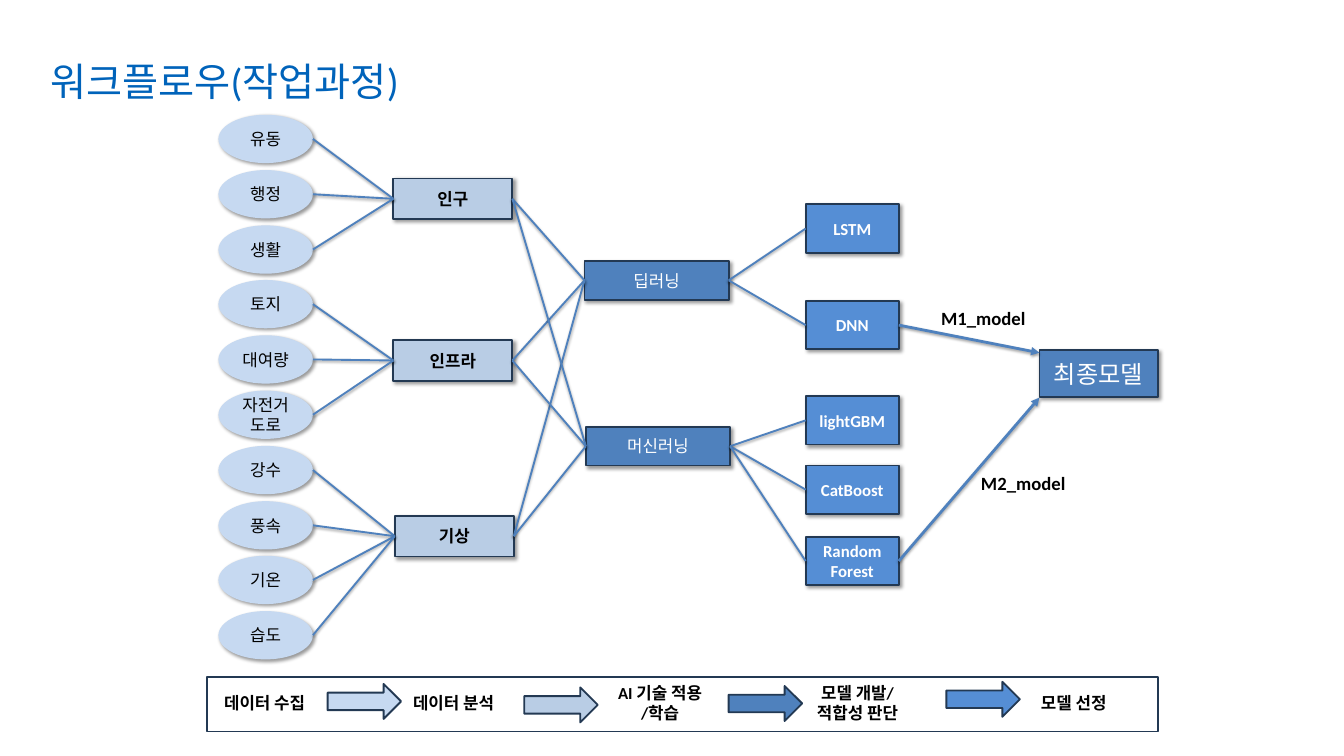
import pptx
import pptx.dml.color
import pptx.enum.dml
import pptx.enum.shapes
import pptx.enum.text
import pptx.oxml.ns
import pptx.util
from lxml import etree

RGB = pptx.dml.color.RGBColor
SHAPE = pptx.enum.shapes.MSO_SHAPE
ALIGN = pptx.enum.text.PP_ALIGN
ANCHOR = pptx.enum.text.MSO_ANCHOR
qn = pptx.oxml.ns.qn

PX = 9525  # EMU in one px; the slide is 1920 by 1080 px
LEFT, RIGHT = 1, 3  # connection sites of a rectangle

WHITE = RGB(0xFF, 0xFF, 0xFF)
BLACK = RGB(0x00, 0x00, 0x00)
TITLE_BLUE = RGB(0x00, 0x63, 0xBA)
COLLECT = RGB(0xC6, 0xD9, 0xF1)
ANALYSE = RGB(0xB9, 0xCD, 0xE5)
LEARN = RGB(0x4F, 0x81, 0xBD)
SELECT = RGB(0x55, 0x8E, 0xD5)
OUTLINE = RGB(0x23, 0x39, 0x53)

# Category: (left, top, its data sources)
CATEGORIES = {
    "인구": (562, 255, ["유동", "행정", "생활"]),
    "인프라": (562, 486, ["토지", "대여량", "자전거도로"]),
    "기상": (564, 737, ["강수", "풍속", "기온", "습도"]),
}
# Method: (left, top, its models with their tops)
METHODS = {
    "딥러닝": (835, 373, {"LSTM": 292, "DNN": 430}),
    "머신러닝": (837, 610, {"lightGBM": 566, "CatBoost": 665, "Random\nForest": 767}),
}
LEGEND_STEPS = [
    (252, "데이터 수집"),
    (522, "데이터 분석"),
    (817, "AI 기술 적용\n/학습"),
    (1099, "모델 개발/\n적합성 판단"),
    (1408, "모델 선정"),
]
LEGEND_ARROWS = [
    (468, 977, COLLECT),
    (749, 982, ANALYSE),
    (1041, 980, LEARN),
    (1352, 974, SELECT),
]


def px(*lengths):
    return [pptx.util.Emu(length * PX) for length in lengths]


def write(shape, text, size=18, color=BLACK, bold=False, align=ALIGN.CENTER,
          anchor=ANCHOR.MIDDLE, inset=None):
    frame = shape.text_frame
    frame.word_wrap = True
    frame.vertical_anchor = anchor
    if inset is not None:
        frame.margin_left = frame.margin_right = inset
        frame.margin_top = frame.margin_bottom = inset
    frame.text = text
    for paragraph in frame.paragraphs:
        paragraph.alignment = align
        paragraph.font.name = "Calibri"
        paragraph.font.size = pptx.util.Pt(size)
        paragraph.font.bold = bold
        paragraph.font.color.rgb = color


def add_shadow(effects, blur, distance, angle, opacity):
    shadow = etree.SubElement(
        effects, qn("a:outerShdw"), blurRad=str(pptx.util.Pt(blur)),
        dist=str(pptx.util.Pt(distance)), dir=str(angle * 60000), rotWithShape="0")
    color = etree.SubElement(shadow, qn("a:srgbClr"), val="000000")
    etree.SubElement(color, qn("a:alpha"), val=str(opacity * 1000))


def add_label(slide, box, text, **style):
    write(slide.shapes.add_textbox(*px(*box)), text, **style)


def add_node(slide, kind, box, fill, text="", outline=OUTLINE, shadow=True, **style):
    node = slide.shapes.add_shape(kind, *px(*box))
    node.fill.solid()
    node.fill.fore_color.rgb = fill
    if outline is None:
        node.line.fill.background()
    else:
        node.line.color.rgb = outline
        node.line.width = pptx.util.Pt(2)
    node.shadow.inherit = False
    if shadow:
        add_shadow(node.element.spPr.find(qn("a:effectLst")), 4, 3, 45, 40)
    if text:
        write(node, text, **style)
    return node


def add_link(slide, source, target=None, end=(0, 0), width=2, arrow=False):
    """Join the right side of source to the left side of target, or to a point."""
    start = (source.left + source.width, source.top + source.height // 2)
    link = slide.shapes.add_connector(
        pptx.enum.shapes.MSO_CONNECTOR.STRAIGHT, *start, *px(*end))
    if source.auto_shape_type == SHAPE.RECTANGLE:
        link.begin_connect(source, RIGHT)
    if target is not None:
        link.end_connect(target, LEFT)
    link.line.color.rgb = LEARN
    link.line.width = pptx.util.Pt(width)
    properties = link.element.spPr
    if arrow:
        etree.SubElement(properties.find(qn("a:ln")), qn("a:tailEnd"), type="triangle")
    effects = etree.SubElement(properties, qn("a:effectLst"))
    add_shadow(effects, 3.1, 1.7, 90, 38)


def add_workflow(slide):
    # Data sources and the categories they feed
    links, categories, row = [], [], 0
    for name, (left, top, sources) in CATEGORIES.items():
        category = add_node(slide, SHAPE.RECTANGLE, (left, top, 170, 58),
                            ANALYSE, name, bold=True)
        categories.append(category)
        for source in sources:
            box = (312, 164 + round(row * 78.8), 135, 69)
            oval = add_node(slide, SHAPE.OVAL, box, COLLECT, source, outline=None)
            links.append((oval, category))
            row += 1

    # Methods and their models
    models = {}
    for name, (left, top, tops) in METHODS.items():
        method = add_node(slide, SHAPE.RECTANGLE, (left, top, 206, 55),
                          LEARN, name, color=WHITE)
        links += [(category, method) for category in categories]
        for model, model_top in tops.items():
            models[model] = add_node(slide, SHAPE.RECTANGLE, (1151, model_top, 133, 69),
                                     SELECT, model, color=WHITE, bold=True)
            links.append((method, models[model]))

    for source, target in links:
        add_link(slide, source, target)

    # Final model
    add_node(slide, SHAPE.RECTANGLE, (1485, 500, 169, 67), LEARN, "최종모델",
             size=26, color=WHITE)
    add_link(slide, models["DNN"], end=(1485, 504), width=3, arrow=True)
    add_link(slide, models["Random\nForest"], end=(1485, 568), width=3, arrow=True)
    for left, top, name in [(1335, 433, "M1_model"), (1392, 669, "M2_model")]:
        add_label(slide, (left, top, 158, 40), name, size=20, bold=True,
                  align=ALIGN.LEFT, anchor=ANCHOR.TOP)


def add_legend(slide):
    add_node(slide, SHAPE.RECTANGLE, (296, 967, 1358, 78), WHITE, shadow=False)
    for left, step in LEGEND_STEPS:
        add_label(slide, (left, 969, 252, 70), step, bold=True)
    for left, top, fill in LEGEND_ARROWS:
        add_node(slide, SHAPE.RIGHT_ARROW, (left, top, 105, 50), fill, shadow=False)


def main():
    deck = pptx.Presentation()
    deck.slide_width, deck.slide_height = px(1920, 1080)
    slide = deck.slides.add_slide(deck.slide_layouts[6])
    add_label(slide, (72, 76, 1788, 79), "워크플로우(작업과정)", size=42,
              color=TITLE_BLUE, align=ALIGN.LEFT, inset=0)
    add_workflow(slide)
    add_legend(slide)
    deck.save("out.pptx")


if __name__ == "__main__":
    main()
